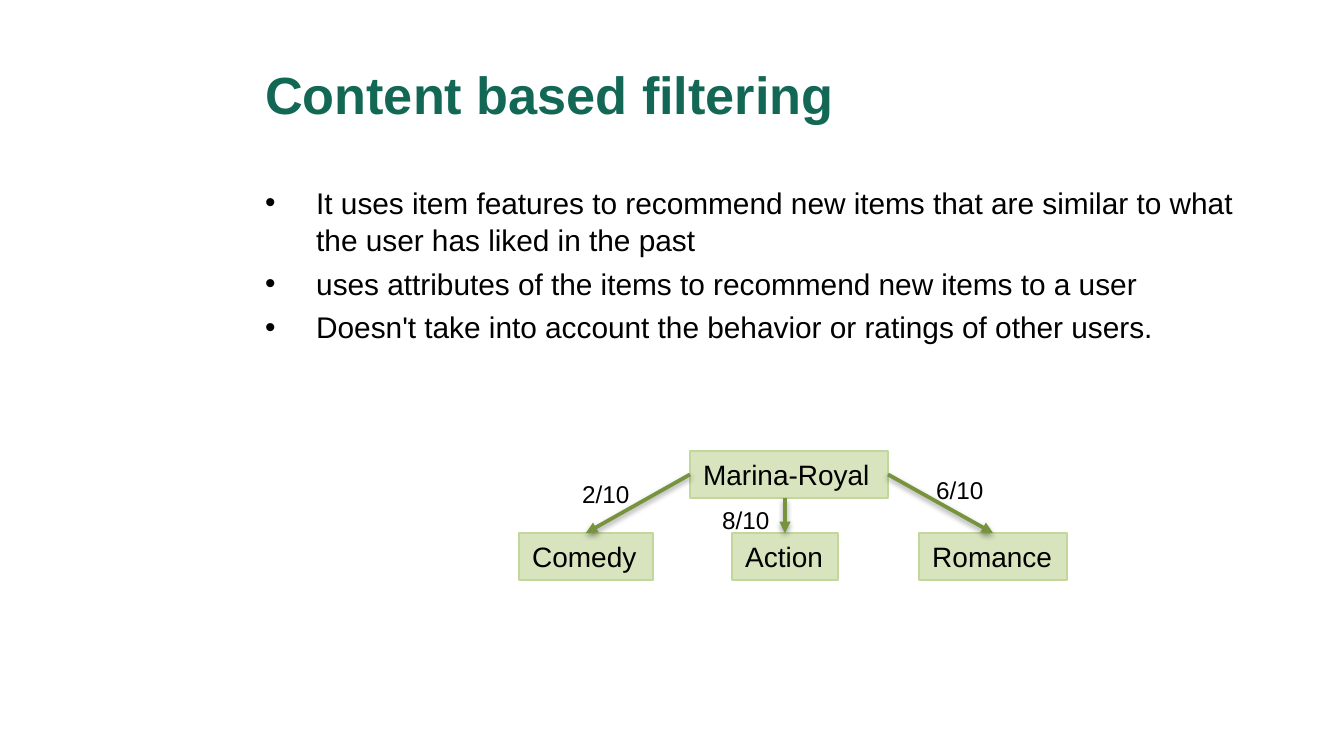
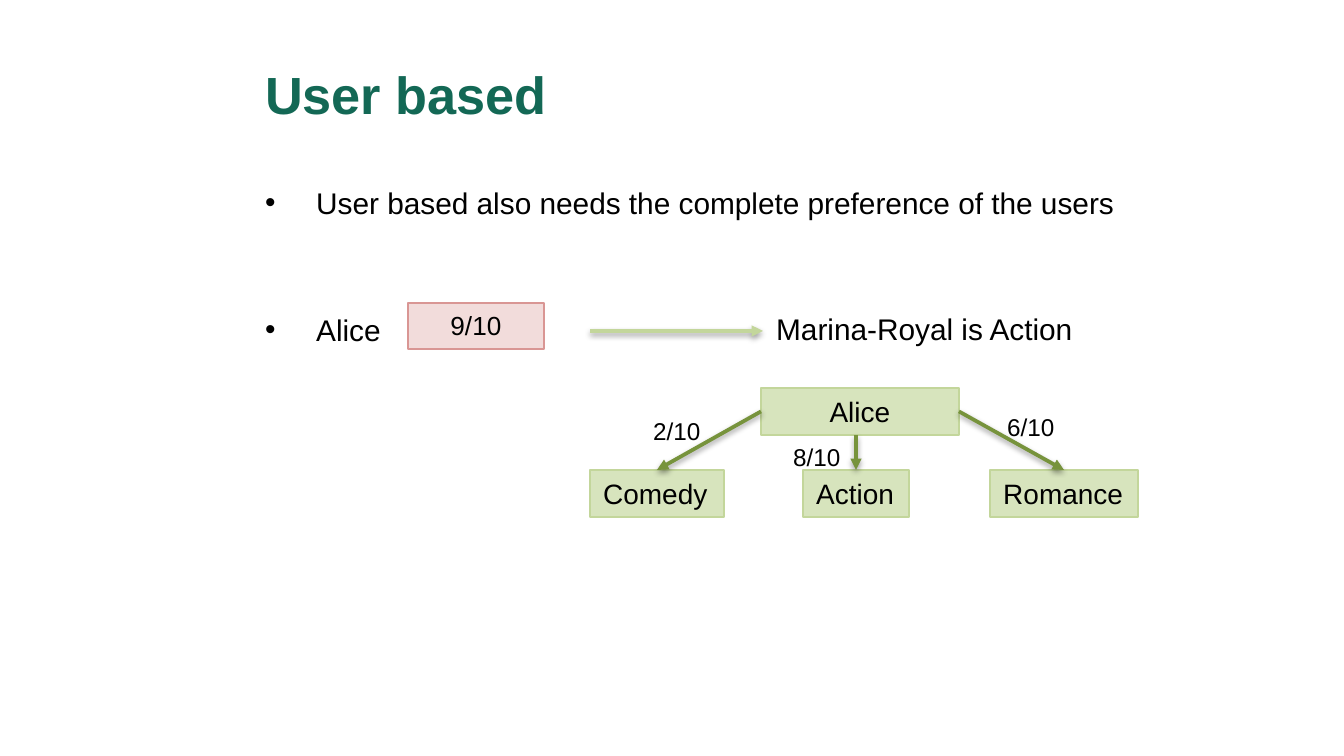
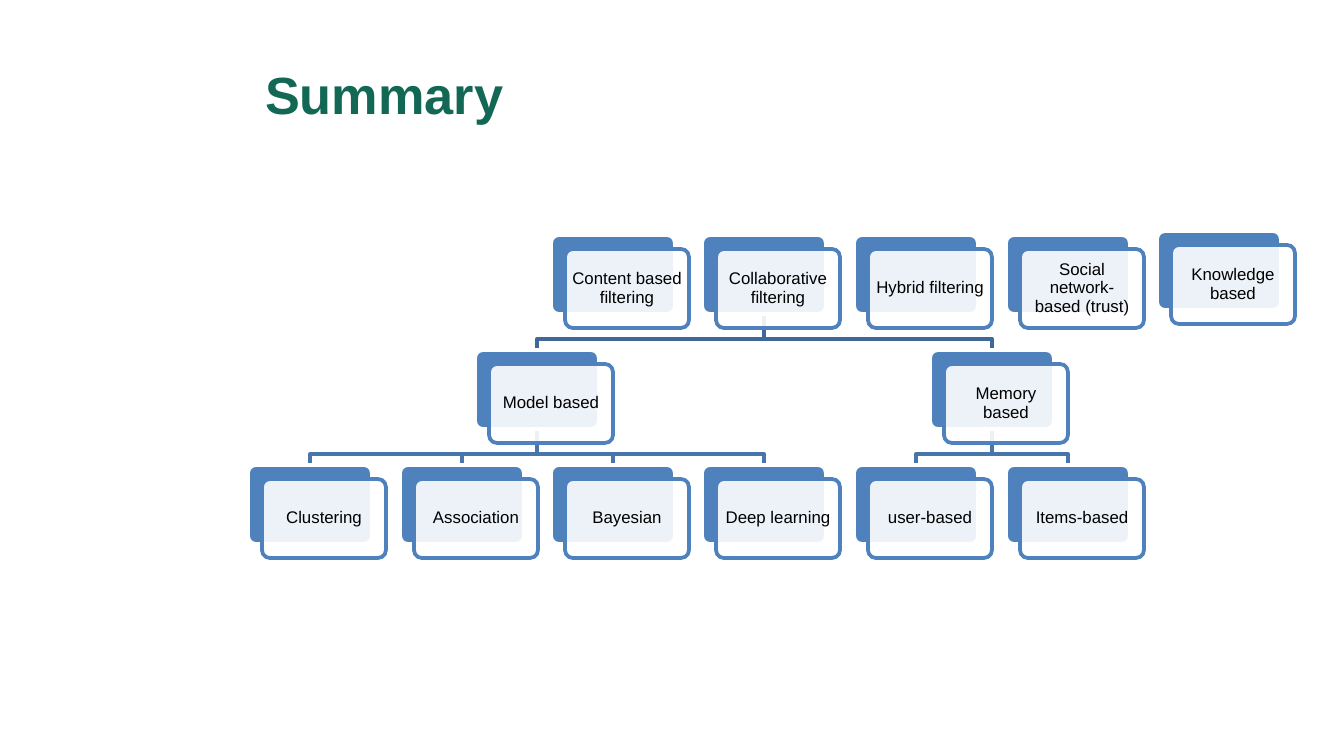
from lxml import etree
from pptx import Presentation
from pptx.dml.color import RGBColor
from pptx.enum.shapes import MSO_CONNECTOR, MSO_SHAPE
from pptx.enum.text import MSO_ANCHOR, PP_ALIGN
from pptx.oxml.ns import qn
from pptx.util import Emu, Pt

RECTANGLE = MSO_SHAPE.RECTANGLE
ROUNDED = MSO_SHAPE.ROUNDED_RECTANGLE
STRAIGHT = MSO_CONNECTOR.STRAIGHT
TOP, MIDDLE = MSO_ANCHOR.TOP, MSO_ANCHOR.MIDDLE
LEFT, CENTER = PP_ALIGN.LEFT, PP_ALIGN.CENTER
SITE_TOP, SITE_LEFT, SITE_RIGHT = 0, 1, 3

EMU_PER_PX = 914400 / 134.4
FONT = "Arial"
BLACK = RGBColor(0x00, 0x00, 0x00)
WHITE = RGBColor(0xFF, 0xFF, 0xFF)
TITLE_GREEN = RGBColor(0x13, 0x68, 0x55)
NODE_FILL = RGBColor(0xD7, 0xE4, 0xBD)
NODE_LINE = RGBColor(0xC3, 0xD6, 0x9B)
ARROW_GREEN = RGBColor(0x77, 0x93, 0x3C)
SCORE_FILL = RGBColor(0xF2, 0xDC, 0xDB)
SCORE_LINE = RGBColor(0xD9, 0x96, 0x94)
CARD_BLUE = RGBColor(0x4F, 0x81, 0xBD)
BRANCH_BLUES = [RGBColor(0x3F, 0x67, 0x97), RGBColor(0x48, 0x75, 0xAC)]

TITLE_BOX = (252, 31, 1024, 126)
BODY_BOX = (252, 176, 1024, 499)
BODY_FORMAT = {"size": 16, "line_spacing": 1.05}
BULLET_INDENT = 51

GENRES = [("Comedy", 0, 134), ("Action", 213, 106), ("Romance", 400, 148)]
RATINGS = [("2/10", 50, 22), ("8/10", 190, 48), ("6/10", 404, 18)]

CARD_WIDTH, CARD_HEIGHT, CARD_OFFSET = 124, 79, 14
TWO_COLUMNS, ROW_PITCH = 303, 115
CARDS = {
    "Content based filtering": (2, 0),
    "Collaborative filtering": (3, 0),
    "Model based": (1.5, 1),
    "Clustering": (0, 2),
    "Association": (1, 2),
    "Bayesian": (2, 2),
    "Deep learning": (3, 2),
    "Memory based": (4.5, 1),
    "user-based": (4, 2),
    "Items-based": (5, 2),
    "Hybrid filtering": (4, 0),
    "Social network-based (trust)": (5, 0),
    "Knowledge based": (6, 0),
}
RAISED_CARDS = {"Knowledge based": 4}
BRANCHES = {
    "Collaborative filtering": ["Model based", "Memory based"],
    "Model based": ["Clustering", "Association", "Bayesian", "Deep learning"],
    "Memory based": ["user-based", "Items-based"],
}


def px(length):
    return Emu(round(length * EMU_PER_PX))


def scaled(*lengths):
    return [px(length) for length in lengths]


def add_bullet(paragraph):
    properties = paragraph._p.get_or_add_pPr()
    properties.set("marL", str(px(BULLET_INDENT)))
    properties.set("indent", str(-px(BULLET_INDENT)))
    etree.SubElement(properties, qn("a:buFont"), typeface=FONT)
    etree.SubElement(properties, qn("a:buChar"), char="•")


def write_text(shape, text, *, size, color=BLACK, bold=False, align=LEFT, anchor=TOP,
               wrap=True, inset=None, bullets=False, gap=0, line_spacing=None):
    frame = shape.text_frame
    frame.word_wrap = wrap
    frame.vertical_anchor = anchor
    if inset is not None:
        frame.margin_left = frame.margin_right = px(inset)
        frame.margin_top = frame.margin_bottom = px(inset)
    frame.text = text
    for position, paragraph in enumerate(frame.paragraphs):
        if bullets:
            add_bullet(paragraph)
        if position and gap:
            paragraph.space_before = Pt(gap)
        if line_spacing:
            paragraph.line_spacing = line_spacing
        paragraph.alignment = align
        for run in paragraph.runs:
            run.font.name = FONT
            run.font.size = Pt(size)
            run.font.bold = bold
            run.font.color.rgb = color


def add_text(slide, box, text, **text_format):
    write_text(slide.shapes.add_textbox(*scaled(*box)), text, **text_format)


def add_box(slide, kind, box, fill, line, weight):
    shape = slide.shapes.add_shape(kind, *scaled(*box))
    shape.shadow.inherit = False
    shape.fill.solid()
    shape.fill.fore_color.rgb = fill
    shape.line.color.rgb = line
    shape.line.width = Pt(weight)
    return shape


def add_arrow(slide, start, end, color):
    arrow = slide.shapes.add_connector(STRAIGHT, *scaled(*start, *end))
    arrow.line.color.rgb = color
    arrow.line.width = Pt(2)
    etree.SubElement(arrow.line._get_or_add_ln(), qn("a:tailEnd"), type="triangle")
    effects = etree.SubElement(arrow._element.spPr, qn("a:effectLst"))
    shadow = etree.SubElement(effects, qn("a:outerShdw"), blurRad="40000", dist="20000",
                              dir="5400000", rotWithShape="0")
    shade = etree.SubElement(shadow, qn("a:srgbClr"), val="000000")
    etree.SubElement(shade, qn("a:alpha"), val="38000")
    return arrow


def add_titled_slide(presentation, title):
    slide = presentation.slides.add_slide(presentation.slide_layouts[6])
    add_text(slide, TITLE_BOX, title, size=28, color=TITLE_GREEN, bold=True, anchor=MIDDLE)
    return slide


def add_genre_tree(slide, left, top, root_text, root_align):
    root_left, root_width, height, genre_top = 171, 198, 47, 82
    root_middle = top + height // 2
    root = add_box(slide, RECTANGLE, (left + root_left, top, root_width, height),
                   NODE_FILL, NODE_LINE, 0.75)
    write_text(root, root_text, size=15, align=root_align, wrap=root_align == CENTER)
    genres = []
    for text, offset, width in GENRES:
        genre = add_box(slide, RECTANGLE, (left + offset, top + genre_top, width, height),
                        NODE_FILL, NODE_LINE, 0.75)
        write_text(genre, text, size=15, wrap=False)
        genres.append(genre)

    action_center = GENRES[1][1] + GENRES[1][2] // 2
    starts = [(left + root_left, root_middle, SITE_LEFT),
              (left + action_center, top + height, None),
              (left + root_left + root_width, root_middle, SITE_RIGHT)]
    for genre, (text, offset, width), (x, y, site) in zip(genres, GENRES, starts):
        end = (left + offset + width // 2, top + genre_top)
        arrow = add_arrow(slide, (x, y), end, ARROW_GREEN)
        if site is not None:
            arrow.begin_connect(root, site)
        arrow.end_connect(genre, SITE_TOP)
    for rating, x, y in RATINGS:
        add_text(slide, (left + x, top + y, 83, 43), rating, size=13)


def card_origin(name, left, top):
    column, row = CARDS[name]
    return (left + round(column * TWO_COLUMNS / 2),
            top + row * ROW_PITCH - RAISED_CARDS.get(name, 0))


def add_branch(slide, parent, child, color):
    start_x, start_y = parent[0] + CARD_WIDTH // 2, parent[1] + CARD_HEIGHT
    end_x, bend_y = child[0] + CARD_WIDTH // 2, start_y + 25
    points = [(start_x, bend_y), (end_x, bend_y), (end_x, child[1])]
    builder = slide.shapes.build_freeform(px(start_x), px(start_y))
    builder.add_line_segments([scaled(*point) for point in points], close=False)
    branch = builder.convert_to_shape()
    branch.shadow.inherit = False
    branch.fill.background()
    branch.line.color.rgb = color
    branch.line.width = Pt(2)


def add_card(slide, left, top, text):
    back = add_box(slide, ROUNDED, (left, top, CARD_WIDTH, CARD_HEIGHT), CARD_BLUE, WHITE, 2)
    front_left, front_top = left + CARD_OFFSET, top + CARD_OFFSET
    front = add_box(slide, ROUNDED, (front_left, front_top, CARD_WIDTH, CARD_HEIGHT),
                    WHITE, CARD_BLUE, 2)
    for shape in (back, front):
        shape.adjustments[0] = 0.1
    fill_color = front._element.spPr.find(qn("a:solidFill"))[0]
    etree.SubElement(fill_color, qn("a:alpha"), val="90000")
    add_text(slide, (front_left + 2, front_top + 2, CARD_WIDTH - 4, CARD_HEIGHT - 4), text,
             size=9, align=CENTER, anchor=MIDDLE, inset=5, line_spacing=0.9)


def add_filtering_tree(slide, left, top):
    for parent, children in BRANCHES.items():
        color = BRANCH_BLUES[CARDS[parent][1]]
        for child in children:
            add_branch(slide, card_origin(parent, left, top), card_origin(child, left, top), color)
    for name in CARDS:
        add_card(slide, *card_origin(name, left, top), name)


def build_content_slide(presentation):
    slide = add_titled_slide(presentation, "Content based filtering")
    points = [
        "It uses item features to recommend new items that are similar to what "
        "the user has liked in the past",
        "uses attributes of the items to recommend new items to a user",
        "Doesn't take into account the behavior or ratings of other users.",
    ]
    add_text(slide, BODY_BOX, "\n".join(points), bullets=True, gap=3.2, **BODY_FORMAT)
    add_genre_tree(slide, 519, 451, "Marina-Royal", LEFT)


def build_user_slide(presentation):
    slide = add_titled_slide(presentation, "User based")
    points = ["User based also needs the complete preference of the users", "Alice"]
    add_text(slide, BODY_BOX, "\n".join(points), bullets=True, gap=48, **BODY_FORMAT)
    add_text(slide, (763, 302, 400, 48), "Marina-Royal is Action", **BODY_FORMAT)
    add_genre_tree(slide, 590, 388, "Alice", CENTER)
    score = add_box(slide, RECTANGLE, (408, 303, 136, 46), SCORE_FILL, SCORE_LINE, 0.75)
    write_text(score, "9/10", size=14, align=CENTER)
    add_arrow(slide, (590, 331), (763, 331), NODE_LINE)


def build_summary_slide(presentation):
    slide = add_titled_slide(presentation, "Summary")
    add_filtering_tree(slide, 248, 235)


def main():
    presentation = Presentation()
    presentation.slide_width, presentation.slide_height = scaled(1344, 756)
    build_content_slide(presentation)
    build_user_slide(presentation)
    build_summary_slide(presentation)
    presentation.save("out.pptx")


if __name__ == "__main__":
    main()
